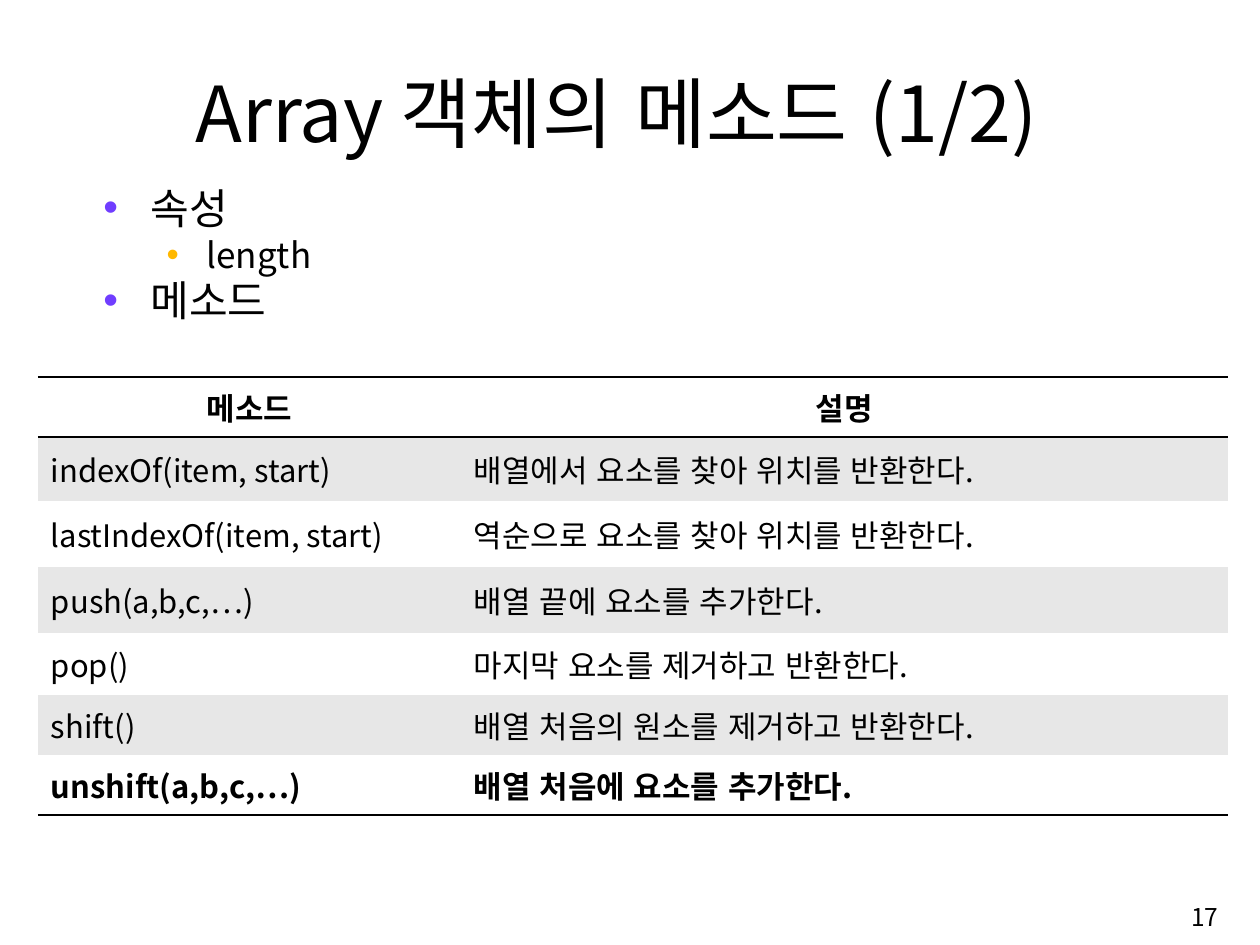
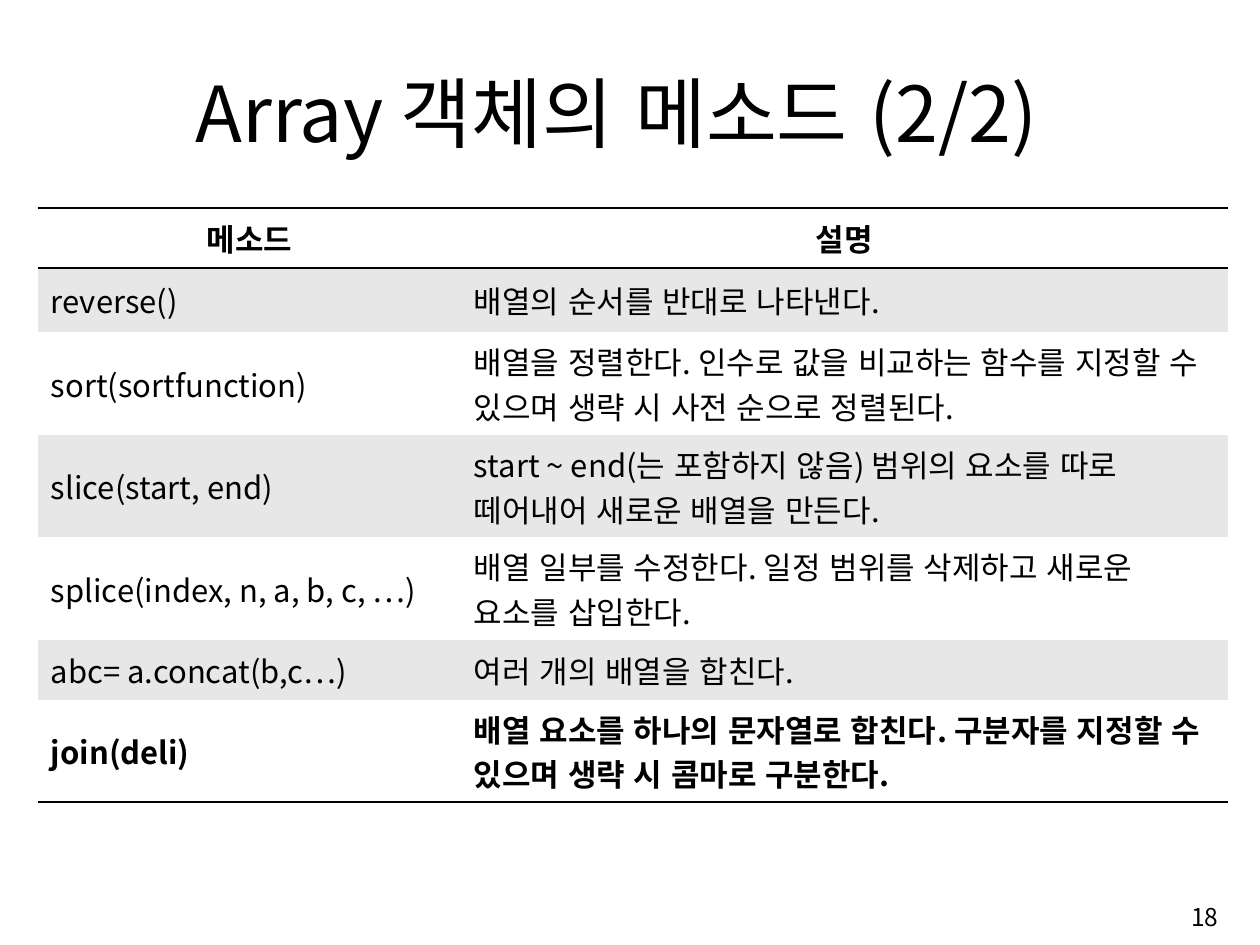
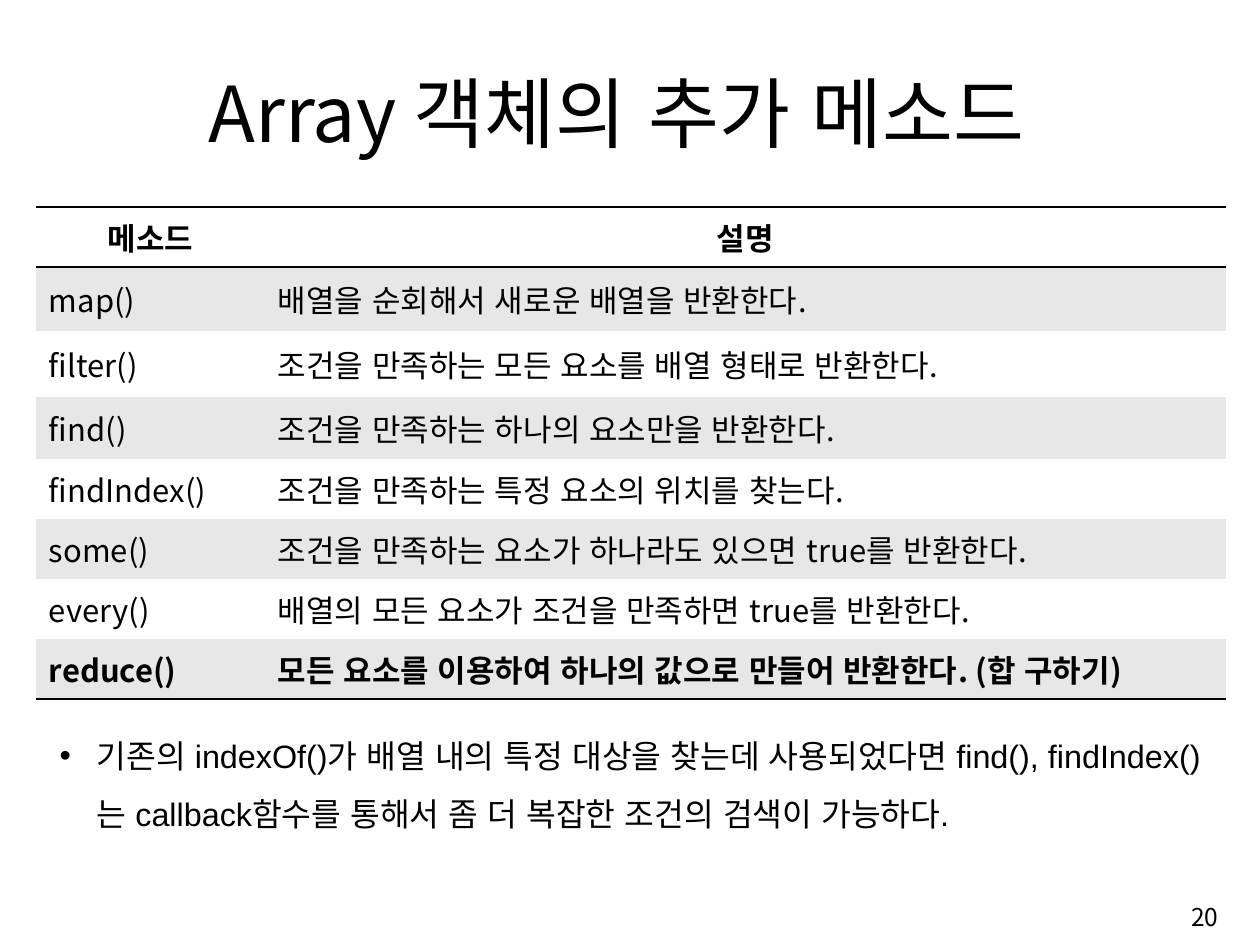
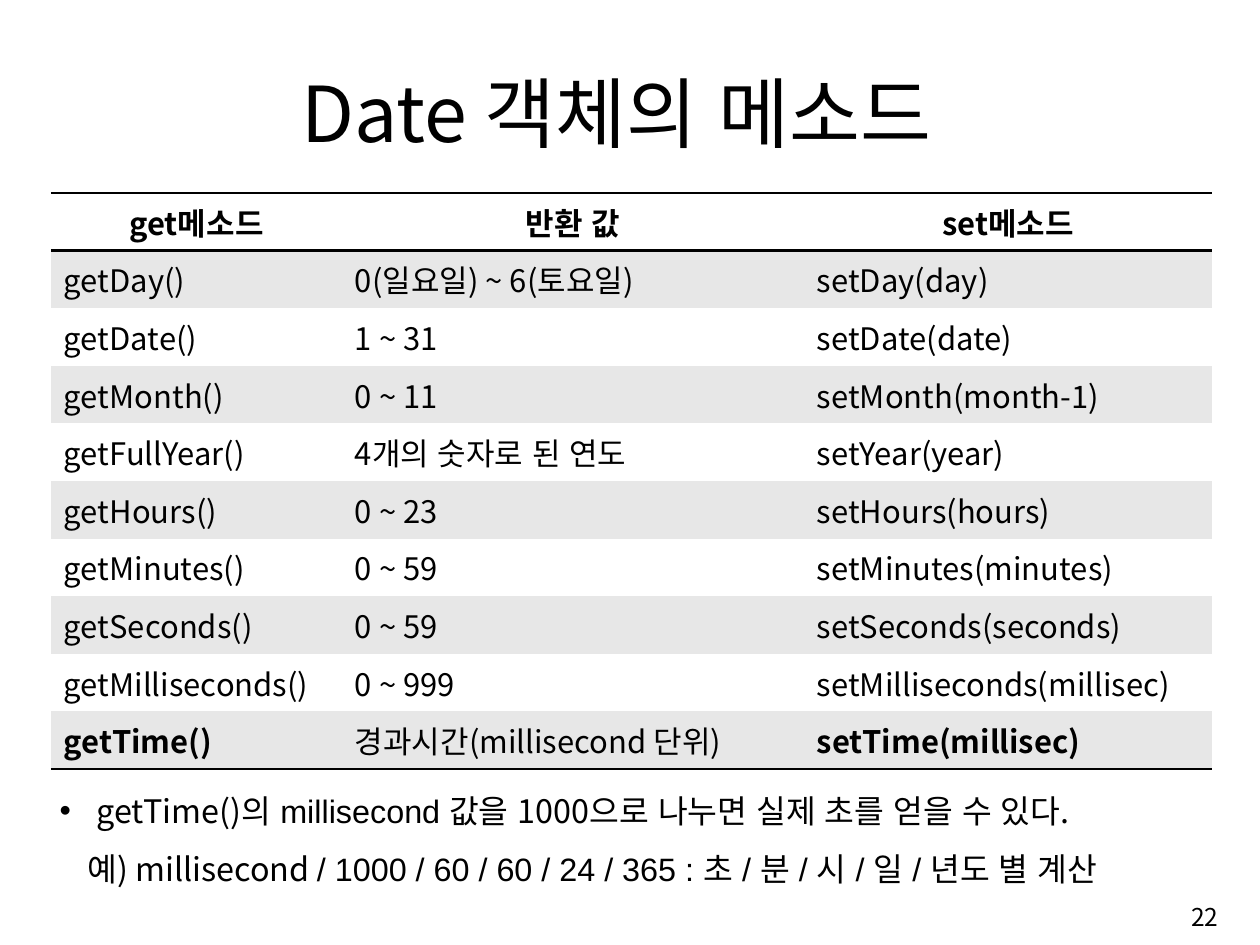
"""Build four slides on the methods of the Array and Date objects."""
import dataclasses

import lxml.etree
import pptx
import pptx.dml.color
import pptx.enum.lang
import pptx.enum.text
import pptx.oxml
import pptx.oxml.ns
import pptx.util

PX = 914400 / 97
NO_GRID_STYLE = "{2D5ABB26-0587-4C30-8999-92F81FD0307C}"
ALIGN = pptx.enum.text.PP_ALIGN
MIDDLE = pptx.enum.text.MSO_ANCHOR.MIDDLE
TOP = pptx.enum.text.MSO_ANCHOR.TOP


@dataclasses.dataclass(frozen=True)
class Theme:
    font: str = "Noto Sans CJK KR"
    latin: str = "Arial"
    black: str = "000000"
    white: str = "FFFFFF"
    band: str = "E7E7E7"
    violet: str = "703DFF"
    amber: str = "FFB800"
    title: float = 57.2
    topic: float = 31.2
    subtopic: float = 26
    note: float = 24
    cell: float = 23
    number: float = 18.2
    border: float = 2


@dataclasses.dataclass(frozen=True)
class TextLine:
    runs: list
    size: float
    left: int = 0
    hang: int = 0
    bullet: str = ""
    spacing: float = 1
    after: float = 0
    align: ALIGN = ALIGN.LEFT


theme = Theme()


def add_run(paragraph, text, size, bold=False, typeface=theme.font):
    run = paragraph.add_run()
    run.text = text
    run.font.name = typeface
    run.font.size = pptx.util.Pt(size)
    run.font.bold = bold
    run.font.color.rgb = pptx.dml.color.RGBColor.from_string(theme.black)
    run.font.language_id = pptx.enum.lang.MSO_LANGUAGE_ID.KOREAN
    east_asian = pptx.oxml.ns.qn("a:ea")
    run.font._element.find(pptx.oxml.ns.qn("a:latin")).addnext(
        run.font._element.makeelement(east_asian, {"typeface": theme.font}))


def px(length):
    return pptx.util.Emu(round(length * PX))


method_header = ["메소드", "설명"]

array_topics = [
    TextLine([("속성", theme.font)], theme.topic, 47, 47, theme.violet, 0.8, 7),
    TextLine([("length", theme.font)], theme.subtopic, 103, 40, theme.amber, 0.8, 7),
    TextLine([("메소드", theme.font)], theme.topic, 47, 47, theme.violet, 0.8, 7),
]
search_note = [
    TextLine([("기존의 indexOf()가 배열 내의 특정 대상을 찾는데 사용되었다면 find(), "
               "findIndex()는 callback함수를 통해서 좀 더 복잡한 조건의 검색이 가능하다.", theme.latin)],
             theme.note, 37, 37, theme.black, 1.5),
]
time_note = [
    TextLine([("getTime()의 ", theme.font), ("millisecond ", theme.latin),
              ("값을 1000으로 나누면 실제 초를 얻을 수 있다.", theme.font)],
             theme.note, 37, 37, theme.black, 1.5),
    TextLine([("예) millisecond ", theme.font),
              ("/ 1000 / 60 / 60 / 24 / 365 : 초 / 분 / 시 / 일 / 년도 별 계산", theme.latin)],
             theme.note, left=28, spacing=1.5),
]

pages = [
    {
        "title": "Array 객체의 메소드 (1/2)", "number": "17",
        "origin": (38, 377), "columns": [423, 767],
        "heights": [60, 64, 66, 66, 62, 60, 60],
        "rows": [
            method_header,
            ["indexOf(item, start)", "배열에서 요소를 찾아 위치를 반환한다."],
            ["lastIndexOf(item, start)", "역순으로 요소를 찾아 위치를 반환한다."],
            ["push(a,b,c,…)", "배열 끝에 요소를 추가한다."],
            ["pop()", "마지막 요소를 제거하고 반환한다."],
            ["shift()", "배열 처음의 원소를 제거하고 반환한다."],
            ["unshift(a,b,c,…)", "배열 처음에 요소를 추가한다."],
        ],
        "boxes": [((94, 187, 1132, 180), TOP, array_topics)],
    },
    {
        "title": "Array 객체의 메소드 (2/2)", "number": "18",
        "origin": (38, 208), "columns": [423, 767],
        "heights": [60, 64, 103, 102, 103, 60, 102],
        "rows": [
            method_header,
            ["reverse()", "배열의 순서를 반대로 나타낸다."],
            ["sort(sortfunction)",
             "배열을 정렬한다. 인수로 값을 비교하는 함수를 지정할 수 있으며 생략 시 사전 순으로 정렬된다."],
            ["slice(start, end)",
             "start ~ end(는 포함하지 않음) 범위의 요소를 따로 떼어내어 새로운 배열을 만든다."],
            ["splice(index, n, a, b, c, …)",
             "배열 일부를 수정한다. 일정 범위를 삭제하고 새로운 요소를 삽입한다."],
            ["abc= a.concat(b,c…)", "여러 개의 배열을 합친다."],
            ["join(deli)",
             "배열 요소를 하나의 문자열로 합친다. 구분자를 지정할 수 있으며 생략 시 콤마로 구분한다."],
        ],
        "boxes": [],
    },
    {
        "title": "Array 객체의 추가 메소드", "number": "20",
        "origin": (36, 207), "columns": [229, 961],
        "heights": [60, 64, 66, 62, 60, 60, 60, 60],
        "rows": [
            method_header,
            ["map()", "배열을 순회해서 새로운 배열을 반환한다."],
            ["filter()", "조건을 만족하는 모든 요소를 배열 형태로 반환한다."],
            ["find()", "조건을 만족하는 하나의 요소만을 반환한다."],
            ["findIndex()", "조건을 만족하는 특정 요소의 위치를 찾는다."],
            ["some()", "조건을 만족하는 요소가 하나라도 있으면 true를 반환한다."],
            ["every()", "배열의 모든 요소가 조건을 만족하면 true를 반환한다."],
            ["reduce()", "모든 요소를 이용하여 하나의 값으로 만들어 반환한다. (합 구하기)"],
        ],
        "boxes": [((50, 712, 1161, 120), TOP, search_note)],
    },
    {
        "title": "Date 객체의 메소드", "number": "22",
        "origin": (51, 193), "columns": [291, 462, 408],
        "heights": [57.6] * 10,
        "rows": [
            ["get메소드", "반환 값", "set메소드"],
            ["getDay()", "0(일요일) ~ 6(토요일)", "setDay(day)"],
            ["getDate()", "1 ~ 31", "setDate(date)"],
            ["getMonth()", "0 ~ 11", "setMonth(month-1)"],
            ["getFullYear()", "4개의 숫자로 된 연도", "setYear(year)"],
            ["getHours()", "0 ~ 23", "setHours(hours)"],
            ["getMinutes()", "0 ~ 59", "setMinutes(minutes)"],
            ["getSeconds()", "0 ~ 59", "setSeconds(seconds)"],
            ["getMilliseconds()", "0 ~ 999", "setMilliseconds(millisec)"],
            ["getTime()", "경과시간(millisecond 단위)", "setTime(millisec)"],
        ],
        "regular": "경과시간(millisecond 단위)",
        "boxes": [((50, 767, 1161, 127), TOP, time_note)],
    },
]

presentation = pptx.Presentation()
presentation.slide_width = px(1260)
presentation.slide_height = px(945)

for page in pages:
    slide = presentation.slides.add_slide(presentation.slide_layouts[5])
    title = slide.shapes.title
    title.left, title.top, title.width, title.height = map(px, (102, 59, 1029, 105))
    title.text_frame.auto_size = pptx.enum.text.MSO_AUTO_SIZE.NONE
    title.text_frame.vertical_anchor = MIDDLE
    title.text_frame.paragraphs[0].alignment = ALIGN.CENTER
    add_run(title.text_frame.paragraphs[0], page["title"], theme.title)

    rows, columns, heights = page["rows"], page["columns"], page["heights"]
    frame = slide.shapes.add_table(len(rows), len(columns), *map(
        px, (*page["origin"], sum(columns), sum(heights))))
    table = frame.table
    table.horz_banding = False
    table.first_row = False
    table._tbl.tblPr.find(pptx.oxml.ns.qn("a:tableStyleId")).text = NO_GRID_STYLE
    for column, width in zip(table.columns, columns):
        column.width = px(width)
    last = len(rows) - 1
    for row_index, texts in enumerate(rows):
        table.rows[row_index].height = px(heights[row_index])
        edges = {0: ["a:lnT", "a:lnB"], last: ["a:lnB"]}.get(row_index, [])
        for column_index, text in enumerate(texts):
            cell = table.cell(row_index, column_index)
            cell.margin_left = cell.margin_right = px(13)
            cell.margin_top = cell.margin_bottom = px(6)
            cell.vertical_anchor = MIDDLE
            cell.fill.solid()
            cell.fill.fore_color.rgb = pptx.dml.color.RGBColor.from_string(
                theme.band if row_index % 2 else theme.white)
            paragraph = cell.text_frame.paragraphs[0]
            paragraph.alignment = ALIGN.LEFT if row_index else ALIGN.CENTER
            bold = row_index in (0, last) and text != page.get("regular")
            add_run(paragraph, text, theme.cell, bold)
            properties = cell._tc.get_or_add_tcPr()
            for position, edge in enumerate(edges):
                line = properties.makeelement(
                    pptx.oxml.ns.qn(edge), {"w": str(pptx.util.Pt(theme.border))})
                fill = lxml.etree.SubElement(line, pptx.oxml.ns.qn("a:solidFill"))
                lxml.etree.SubElement(fill, pptx.oxml.ns.qn("a:srgbClr"), val=theme.black)
                properties.insert(position, line)

    number = TextLine([(page["number"], theme.font)], theme.number, align=ALIGN.RIGHT)
    for bounds, anchor, lines in page["boxes"] + [((968, 888, 260, 58), MIDDLE, [number])]:
        text_frame = slide.shapes.add_textbox(*map(px, bounds)).text_frame
        text_frame.word_wrap = True
        text_frame.vertical_anchor = anchor
        for index, line in enumerate(lines):
            paragraph = text_frame.add_paragraph() if index else text_frame.paragraphs[0]
            paragraph.alignment = line.align
            paragraph.line_spacing = line.spacing
            paragraph.space_after = pptx.util.Pt(line.after)
            properties = paragraph._p.get_or_add_pPr()
            properties.set("marL", str(px(line.left)))
            properties.set("indent", str(px(-line.hang)))
            if line.bullet:
                colour = lxml.etree.SubElement(properties, pptx.oxml.ns.qn("a:buClr"))
                lxml.etree.SubElement(colour, pptx.oxml.ns.qn("a:srgbClr"), val=line.bullet)
                lxml.etree.SubElement(
                    properties, pptx.oxml.ns.qn("a:buFont"), typeface=theme.latin)
                lxml.etree.SubElement(properties, pptx.oxml.ns.qn("a:buChar"), char="•")
            for text, typeface in line.runs:
                add_run(paragraph, text, line.size, typeface=typeface)

presentation.save("out.pptx")
